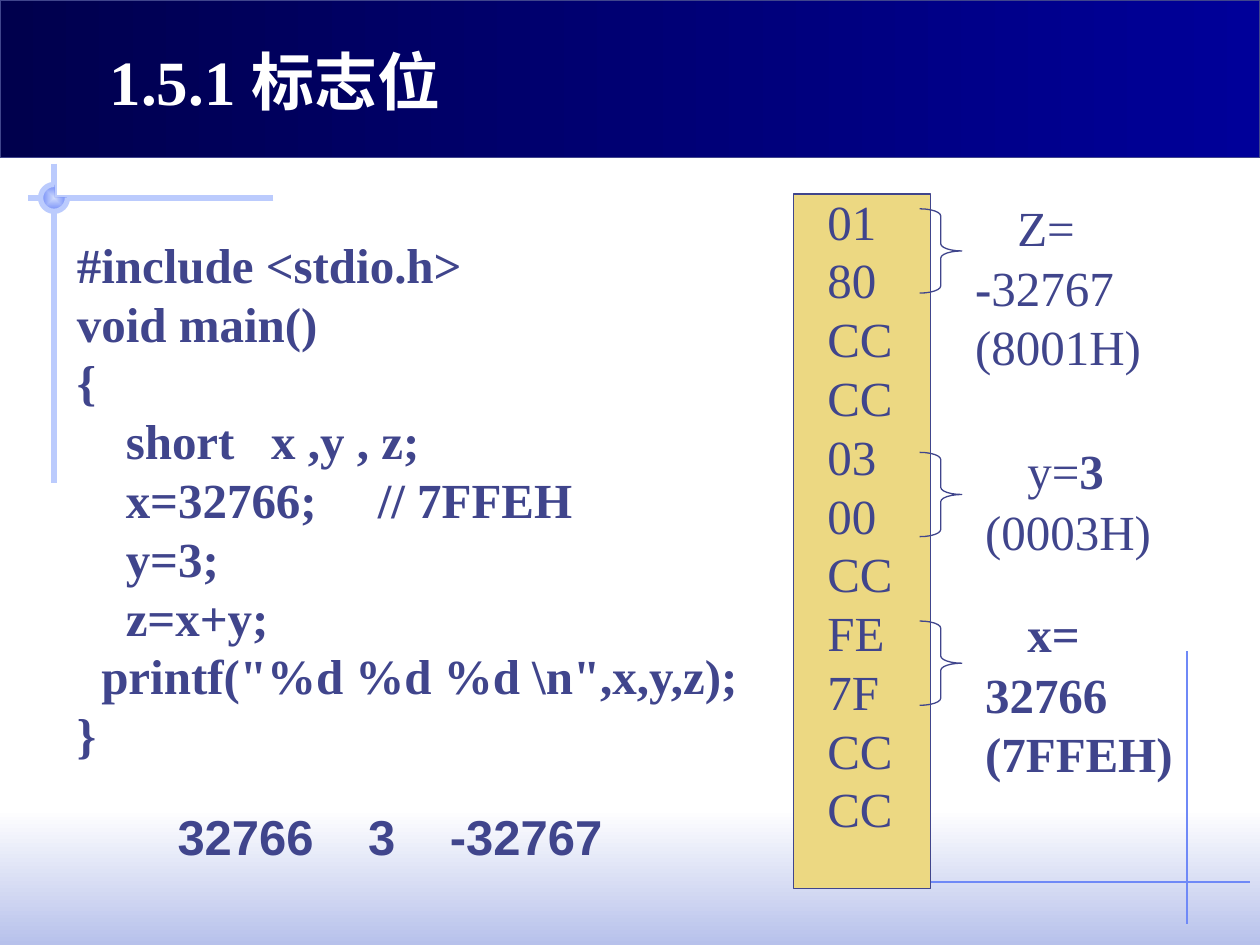
from dataclasses import dataclass

from lxml import etree
from pptx import Presentation
from pptx.dml.color import RGBColor
from pptx.enum.shapes import MSO_CONNECTOR, MSO_SHAPE
from pptx.enum.text import MSO_AUTO_SIZE
from pptx.oxml.ns import qn
from pptx.util import Cm, Pt

RECT, BRACE = MSO_SHAPE.RECTANGLE, MSO_SHAPE.RIGHT_BRACE
PIE, ARC = MSO_SHAPE.PIE, MSO_SHAPE.ARC
STRAIGHT = MSO_CONNECTOR.STRAIGHT
GROW = MSO_AUTO_SIZE.SHAPE_TO_FIT_TEXT


@dataclass(frozen=True)
class Theme:
    """Colours, fonts and type sizes of the slide."""
    ink: str = "40458C"
    white: str = "FFFFFF"
    navy: str = "00004D"
    blue: str = "000099"
    mist: str = "B7C1EB"
    ice: str = "CFDBFD"
    rule: str = "BBCBFD"
    accent: str = "6F89F7"
    sand: str = "ECD882"
    serif: str = "Times New Roman"
    sans: str = "Arial"
    title: int = 36
    body: int = 28
    leading: float = 33.6


T = Theme()
CODE = [
    "#include <stdio.h>",
    "void main()",
    "{",
    "    short   x ,y , z;",
    "    x=32766;     // 7FFEH",
    "    y=3;",
    "    z=x+y;",
    '  printf("%d %d %d \\n",x,y,z);',
    "}",
]
MEMORY = ["01", "80", "CC", "CC", "03", "00", "CC", "FE", "7F", "CC", "CC"]
VARIABLES = [
    (0.3, (3.41, -0.06, 4.3, 3.99),
     [[("Z=", False)], [("-", True), ("32767", False)], [("(8001H)", False)]]),
    (5.21, (3.61, 4.84, 4.3, 2.79),
     [[("y=", False), ("3", True)], [("(0003H)", False)]]),
    (8.61, (3.61, 8.14, 4.6, 3.99),
     [[("x=", True)], [("32766", True)], [("(7FFEH)", True)]]),
]


def rgb(value):
    """Return a colour from its hex value."""
    return RGBColor.from_string(value)


def add_shape(shapes, kind, box, fill=None, line=None, width=0.75):
    """Add a preset shape with a solid or two-colour fill."""
    sp = shapes.add_shape(kind, *map(Cm, box))
    sp.shadow.inherit = False
    if isinstance(fill, tuple):
        sp.fill.gradient()
        for stop, color in zip(sp.fill.gradient_stops, fill):
            stop.color.rgb = rgb(color)
    elif fill:
        sp.fill.solid()
        sp.fill.fore_color.rgb = rgb(fill)
    else:
        sp.fill.background()
    if line:
        sp.line.color.rgb = rgb(line)
        sp.line.width = Pt(width)
    else:
        sp.line.fill.background()
    return sp


def add_line(shapes, ends, color, width):
    """Add a straight line between two points."""
    line = shapes.add_connector(STRAIGHT, *map(Cm, ends))
    line.line.color.rgb = rgb(color)
    line.line.width = Pt(width)
    etree.SubElement(line._element.spPr, qn("a:effectLst"))


def add_text(shapes, box, paragraphs, size=T.body, font=T.serif,
             color=T.ink, leading=T.leading):
    """Add a text box from lists of (text, bold) runs."""
    tf = shapes.add_textbox(*map(Cm, box)).text_frame
    tf.word_wrap = True
    tf.auto_size = GROW
    for i, runs in enumerate(paragraphs):
        p = tf.add_paragraph() if i else tf.paragraphs[0]
        if leading:
            p.line_spacing = Pt(leading)
        for text, bold in runs:
            r = p.add_run()
            r.text = text
            r.font.name = font
            r.font.size = Pt(size)
            r.font.bold = bold
            r.font.color.rgb = rgb(color)
    return tf


def add_backdrop(s, width, height):
    """Draw the fading foot, the fine rules and the node at the top left."""
    foot = add_shape(s.shapes, RECT, (0, height - 2.74, width, 2.74), (T.white, T.mist))
    foot.fill.gradient_angle = 270
    add_line(s.shapes, (23.93, 13.13, 23.93, 18.62), T.accent, 0.75)
    add_line(s.shapes, (18.42, 17.78, 25.19, 17.78), T.accent, 0.75)
    add_line(s.shapes, (5.51, 3.99, 0.56, 3.99), T.rule, 3)
    add_line(s.shapes, (1.09, 3.3, 1.09, 9.73), T.rule, 3)
    box = (0.82, 3.72, 0.54, 0.54)
    node = add_shape(s.shapes, PIE, box, (T.ice, T.accent))
    grad = node._element.spPr.find(qn("a:gradFill"))
    grad.remove(grad.find(qn("a:lin")))
    radial = etree.SubElement(grad, qn("a:path"), {"path": "rect"})
    etree.SubElement(radial, qn("a:fillToRect"), dict.fromkeys("ltrb", "50000"))
    ring = add_shape(s.shapes, ARC, box, line=T.rule, width=3)
    ring.adjustments[0], ring.adjustments[1] = 0, 162


def add_title(s, x, y, w, h):
    """Draw the title bar and its heading."""
    bar = add_shape(s.shapes, RECT, (x, y, w, h), (T.navy, T.blue), T.ink)
    bar.fill.gradient_angle = 0
    add_text(s.shapes, (x + 1.96, y + 0.73, 8.5, 1.78), [[("1.5.1 标志位", True)]],
             T.title, color=T.white, leading=None)


def add_program(s, x, y, w, h):
    """Place the program listing and the line it prints."""
    add_text(s.shapes, (x, y, w, h), [[(line, True)] for line in CODE])
    tf = add_text(s.shapes, (x + 2.03, y + 11.53, 9.6, 1.45),
                  [[("32766\t3\t-32767", True)]], font=T.sans)
    tabs = etree.SubElement(tf.paragraphs[0]._p.get_or_add_pPr(), qn("a:tabLst"))
    for stop in (3.84, 5.49):
        etree.SubElement(tabs, qn("a:tab"), {"pos": str(Cm(stop)), "algn": "l"})


def add_memory(s, x, y, w, h):
    """Draw the memory column with a brace and a label for each variable."""
    shapes = s.shapes.add_group_shape().shapes
    add_shape(shapes, RECT, (x, y, w, h), T.sand, T.ink)
    add_text(shapes, (x + 0.43, y - 0.18, 2.03, 13.31),
             [[(byte, False)] for byte in MEMORY])
    for top, (dx, dy, lw, lh), paragraphs in VARIABLES:
        brace = add_shape(shapes, BRACE, (x + 2.54, y + top, 0.85, 1.7), line=T.ink)
        brace.adjustments[0] = 0.17
        tf = add_text(shapes, (x + dx, y + dy, lw, lh), paragraphs)
        p = tf.paragraphs[0]
        p.space_after = Pt(1.2)
        p._p.get_or_add_pPr().set("marL", str(Cm(0.85)))


def main():
    """Build and save the slide."""
    prs = Presentation()
    prs.slide_width, prs.slide_height = Cm(25.4), Cm(19.05)
    s = prs.slides.add_slide(prs.slide_layouts[6])
    add_backdrop(s, 25.4, 19.05)
    add_title(s, 0, 0, 25.4, 3.18)
    add_program(s, 1.3, 4.6, 14, 10.95)
    add_memory(s, 16, 3.91, 2.76, 14)
    prs.save("out.pptx")


if __name__ == "__main__":
    main()
